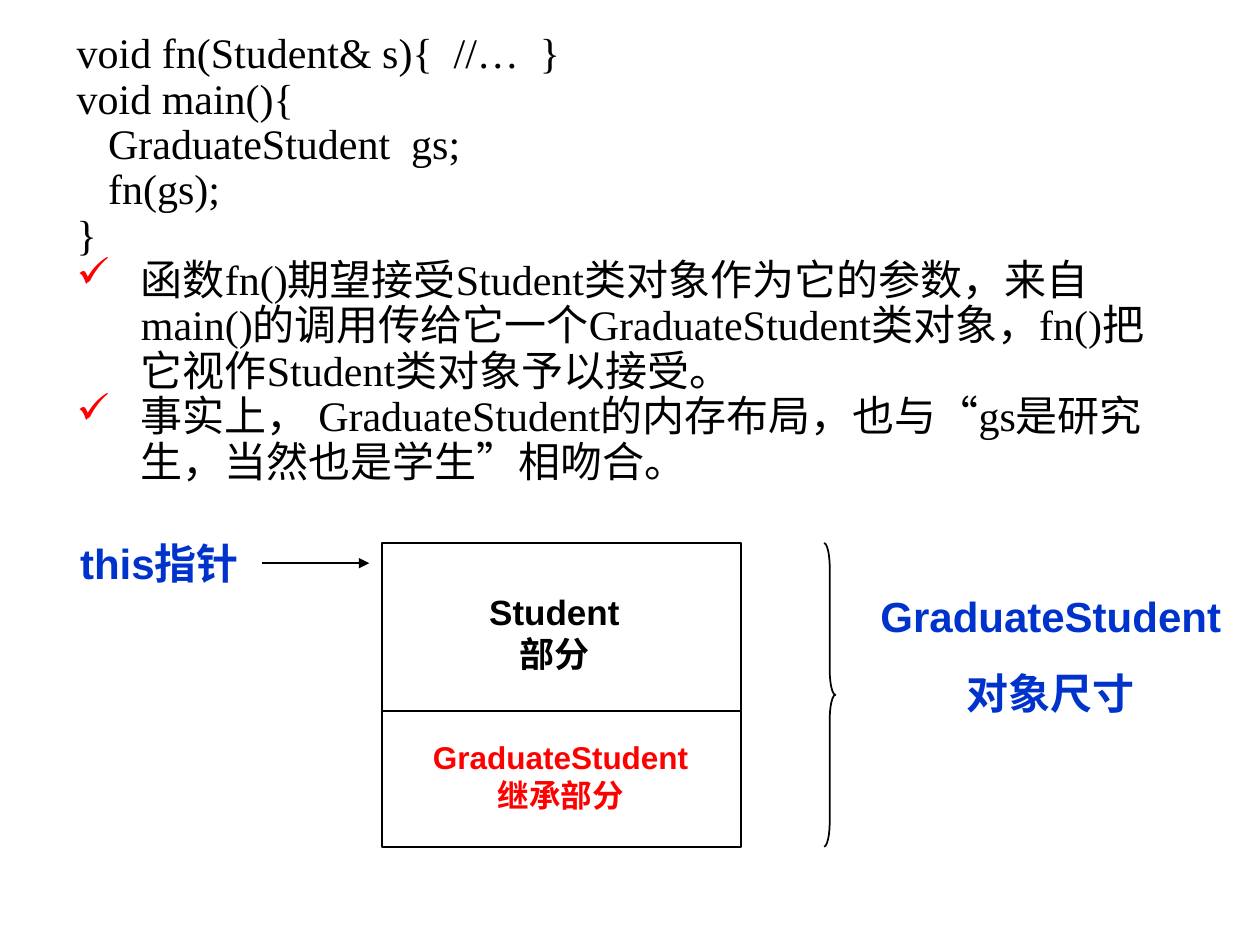
"""Build a slide on passing a derived object where its base class is expected."""
from lxml.etree import SubElement as Sub
from pptx import Presentation
from pptx.dml.color import RGBColor
from pptx.enum.shapes import MSO_CONNECTOR as Link, MSO_SHAPE as Kind
from pptx.enum.text import PP_ALIGN as Align
from pptx.oxml.ns import qn
from pptx.util import Inches, Pt

BLACK = RGBColor(0, 0, 0)
RED = RGBColor(255, 0, 0)
BLUE = RGBColor(0, 0x33, 0xCC)

deck = Presentation()
deck.slide_width, deck.slide_height = Inches(10), Inches(7.5)
cell = deck.slide_width / 100
page = deck.slides.add_slide(deck.slide_layouts[6])
shapes = page.shapes


def grid(*spans):
    return [int(span * cell) for span in spans]


def write(para, text, size, face, color, bold):
    run = para.add_run()
    run.text = text
    font = run.font
    font.size, font.name, font.bold = Pt(size), face, bold
    font.color.rgb = color


code = ["void fn(Student& s){  //…  }", "void main(){",
        "   GraduateStudent  gs;", "   fn(gs);", "}"]
notes = ["函数fn()期望接受Student类对象作为它的参数，来自main()的调用传给它一个"
         "GraduateStudent类对象，fn()把它视作Student类对象予以接受。",
         "事实上， GraduateStudent的内存布局，也与“gs是研究生，当然也是学生”相吻合。"]
body = shapes.add_textbox(*grid(5.1, 2.1, 89.2, 45.8)).text_frame
body.word_wrap = True
for i, text in enumerate(code + notes):
    para = body.add_paragraph() if i else body.paragraphs[0]
    para.line_spacing = 0.9
    props = para._p.get_or_add_pPr()
    props.set("marL", str(Inches(0.51)))
    props.set("indent", str(Inches(-0.51)))
    if text in notes:
        tint = Sub(props, qn("a:buClr"))
        Sub(tint, qn("a:srgbClr"), val=str(RED))
        Sub(props, qn("a:buChar"), char="✓")
    else:
        Sub(props, qn("a:buNone"))
    write(para, text, 24, "Times New Roman", BLACK, False)

arrow = shapes.add_connector(Link.STRAIGHT, *grid(20.8, 44.7, 29.3, 44.7))
arrow.line.color.rgb, arrow.line.width = BLACK, Pt(1)
Sub(arrow.line._get_or_add_ln(), qn("a:tailEnd"), type="triangle", w="med", len="med")
Sub(arrow._element.spPr, qn("a:effectLst"))

top, split, foot = 43.1, 56.4, 67.2
parts = [(Kind.RECTANGLE, 30.3, top, 28.5, split - top),
         (Kind.RECTANGLE, 30.3, split, 28.5, foot - split),
         (Kind.RIGHT_BRACE, 65.4, top, 0.9, foot - top)]
for kind, *spot in parts:
    part = shapes.add_shape(kind, *grid(*spot))
    part.shadow.inherit = False
    part.fill.background()
    part.line.color.rgb, part.line.width = BLACK, Pt(1)
    if kind == Kind.RIGHT_BRACE:
        part.adjustments[0] = 2.24

labels = [((36.9, 46.4, 14.2, 7.7), [["Student部分"]], 20, BLACK),
          ((33.1, 58.1, 22.8, 7), [["GraduateStudent", "继承部分"]], 18, RED),
          ((2.7, 42.2, 19.9, 5), [["this指针"]], 24, BLUE),
          ((68.2, 46.4, 30.4, 11.1), [["GraduateStudent"], ["对象尺寸"]], 24, BLUE)]
for spot, paras, size, color in labels:
    frame = shapes.add_textbox(*grid(*spot)).text_frame
    frame.word_wrap = True
    for i, lines in enumerate(paras):
        para = frame.add_paragraph() if i else frame.paragraphs[0]
        para.alignment = Align.CENTER
        if i:
            para.space_before = Pt(15)
        for j, text in enumerate(lines):
            if j:
                para.add_line_break()
            write(para, text, size, "Arial", color, True)

deck.save("out.pptx")
